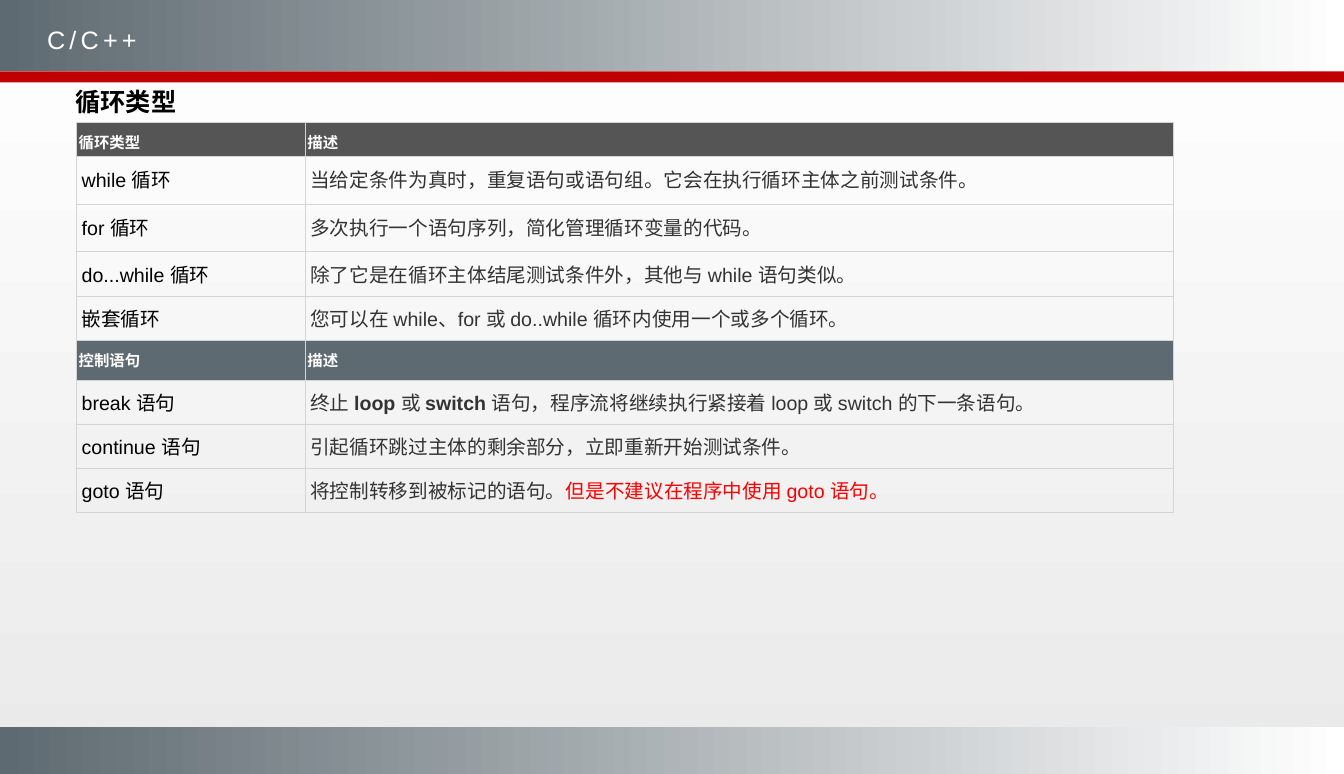
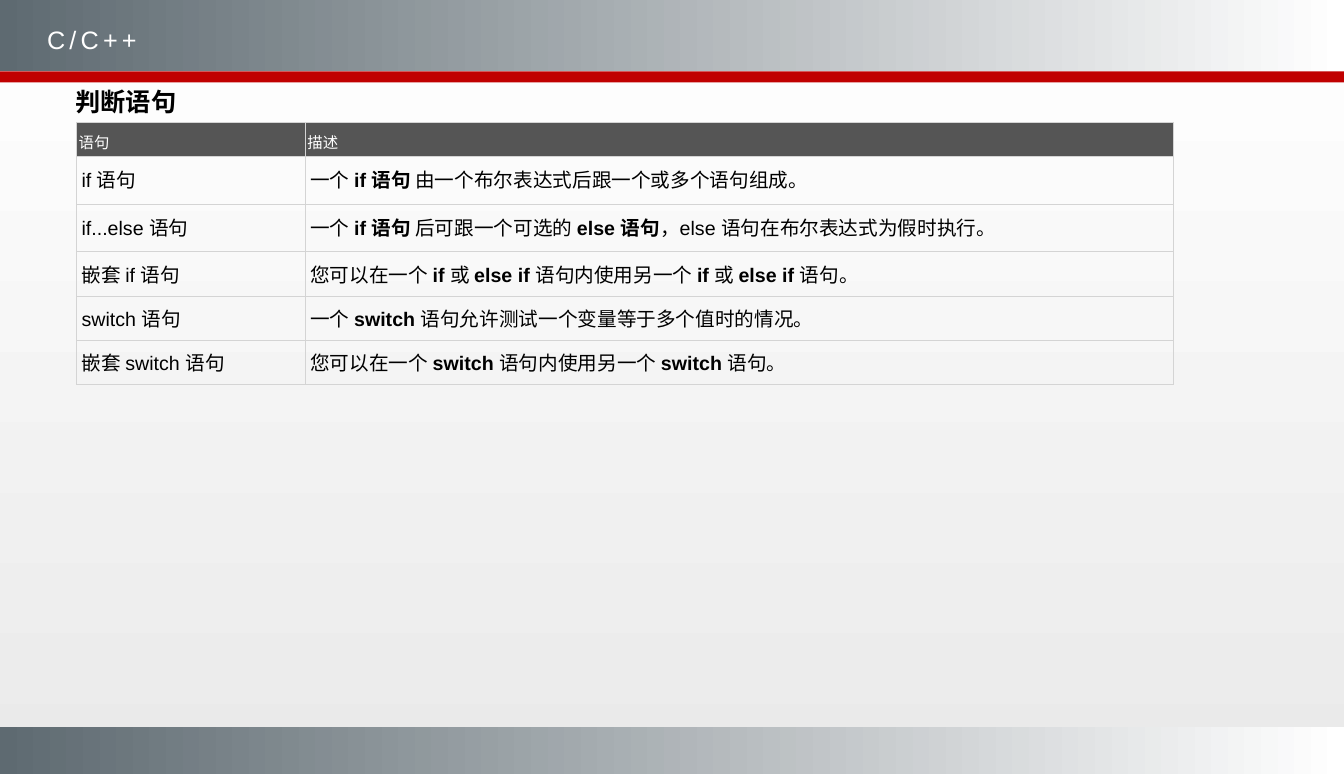
from lxml import etree
from pptx import Presentation
from pptx.dml.color import RGBColor
from pptx.enum.shapes import MSO_SHAPE
from pptx.enum.text import MSO_ANCHOR, MSO_AUTO_SIZE, PP_ALIGN
from pptx.oxml.ns import qn
from pptx.util import Pt

WHITE = RGBColor(0xFF, 0xFF, 0xFF)
BLACK = RGBColor(0x00, 0x00, 0x00)
INK = RGBColor(0x33, 0x33, 0x33)
PALE = RGBColor(0xEA, 0xEA, 0xEA)
SLATE = RGBColor(0x5E, 0x6A, 0x71)
CHARCOAL = RGBColor(0x55, 0x55, 0x55)
CRIMSON = RGBColor(0xC0, 0x00, 0x00)
RED = RGBColor(0xFF, 0x00, 0x00)
RULE = RGBColor(0xD4, 0xD4, 0xD4)

FONT = "Arial"
WIDTH, HEIGHT = 960, 553
COURSE = "C/C++"

# Text between asterisks is bold; a third item in a row is a warning in red.
SLIDES = [
    {
        "title": "循环类型",
        "text_color": INK,
        "header_bold": True,
        "sections": [
            {
                "header": ("循环类型", "描述"),
                "fill": CHARCOAL,
                "height": 24.5,
                "rows": [
                    ("while 循环", "当给定条件为真时，重复语句或语句组。它会在执行循环主体之前测试条件。"),
                    ("for 循环", "多次执行一个语句序列，简化管理循环变量的代码。"),
                    ("do...while 循环", "除了它是在循环主体结尾测试条件外，其他与 while 语句类似。"),
                    ("嵌套循环", "您可以在 while、for 或 do..while 循环内使用一个或多个循环。"),
                ],
            },
            {
                "header": ("控制语句", "描述"),
                "fill": SLATE,
                "height": 28.5,
                "rows": [
                    ("break 语句", "终止 *loop *或 *switch *语句，程序流将继续执行紧接着 loop 或 switch 的下一条语句。"),
                    ("continue 语句", "引起循环跳过主体的剩余部分，立即重新开始测试条件。"),
                    ("goto 语句", "将控制转移到被标记的语句。", "但是不建议在程序中使用 goto 语句。"),
                ],
            },
        ],
    },
    {
        "title": "判断语句",
        "text_color": BLACK,
        "header_bold": False,
        "sections": [
            {
                "header": ("语句", "描述"),
                "fill": CHARCOAL,
                "height": 24.5,
                "rows": [
                    ("if 语句", "一个 *if 语句 *由一个布尔表达式后跟一个或多个语句组成。"),
                    ("if...else 语句", "一个 *if 语句 *后可跟一个可选的 *else 语句*，else 语句在布尔表达式为假时执行。"),
                    ("嵌套 if 语句", "您可以在一个 *if *或 *else if *语句内使用另一个 *if *或 *else if *语句。"),
                    ("switch 语句", "一个 *switch *语句允许测试一个变量等于多个值时的情况。"),
                    ("嵌套 switch 语句", "您可以在一个 *switch *语句内使用另一个 *switch *语句。"),
                ],
            },
        ],
    },
]

# Top, height, colours from left to right
BANDS = [
    (519.5, 33.5, (SLATE, WHITE)),
    (0, 51, (SLATE, WHITE)),
    (51, 8, (CRIMSON,)),
]

TABLE_LEFT, TABLE_TOP = 54.7, 87.4
COLUMNS = (163.4, 619.9)
TALL_ROWS, TALL, NORMAL = (1, 2), 34, 31.5


def write(frame, text, size=14, color=BLACK, bold=False, spacing=None, line=None, warning=""):
    """Fill the first paragraph; asterisks in the text switch bold on and off."""
    para = frame.paragraphs[0]
    para.alignment = PP_ALIGN.LEFT
    if line:
        para.line_spacing = Pt(line)
    pieces = [(part, bold or index % 2 == 1, color) for index, part in enumerate(text.split("*"))]
    pieces.append((warning, bold, RED))
    for part, is_bold, part_color in pieces:
        if not part:
            continue
        span = para.add_run()
        span.text = part
        span.font.name = FONT
        span.font.size = Pt(size)
        span.font.bold = is_bold
        span.font.color.rgb = part_color
        if spacing:
            span.font._element.set("spc", str(spacing * 100))


def place(shape, left, top, width, height):
    shape.left, shape.top = Pt(left), Pt(top)
    shape.width, shape.height = Pt(width), Pt(height)


def paint(fill, colors, angle=0):
    if len(colors) == 1:
        fill.solid()
        fill.fore_color.rgb = colors[0]
        return
    fill.gradient()
    fill.gradient_angle = angle
    for stop, color in zip(fill.gradient_stops, colors):
        stop.color.rgb = color


def set_up_layout(layout, page):
    """Draw the shared bands on a page and move them to its layout."""
    paint(layout.slide_master.background.fill, (WHITE, PALE), angle=270)
    for index, (top, height, colors) in enumerate(BANDS):
        band = page.shapes.add_shape(MSO_SHAPE.RECTANGLE, 0, Pt(top), Pt(WIDTH), Pt(height))
        band.shadow.inherit = False
        band.line.fill.background()
        paint(band.fill, colors)
        layout.shapes.element.insert(2 + index, band.element)
    place(layout.placeholders[0], 46.8, 58.3, 319.7, 28.8)


def add_borders(cell):
    properties = cell._tc.get_or_add_tcPr()
    for side in ("a:lnL", "a:lnR", "a:lnT", "a:lnB"):
        border = etree.SubElement(properties, qn(side), w=str(Pt(0.75)))
        solid = etree.SubElement(border, qn("a:solidFill"))
        etree.SubElement(solid, qn("a:srgbClr"), val=str(RULE))


def fill_cell(cell, text, margins, fill=None, **style):
    add_borders(cell)
    cell.margin_left = cell.margin_right = Pt(margins[0])
    cell.margin_top = cell.margin_bottom = Pt(margins[1])
    cell.vertical_anchor = MSO_ANCHOR.TOP
    if fill is None:
        cell.fill.background()
    else:
        paint(cell.fill, (fill,))
    write(cell.text_frame, text, **style)


def add_statement_table(page, content):
    sections = content["sections"]
    count = sum(1 + len(section["rows"]) for section in sections)
    table = page.shapes.add_table(
        count, len(COLUMNS), Pt(TABLE_LEFT), Pt(TABLE_TOP), Pt(sum(COLUMNS)), Pt(count * NORMAL)
    ).table
    table.first_row = table.horz_banding = False
    for column, width in zip(table.columns, COLUMNS):
        column.width = Pt(width)

    number = 0
    for section in sections:
        table.rows[number].height = Pt(section["height"])
        for column, text in enumerate(section["header"]):
            fill_cell(table.cell(number, column), text, (1.5, 5.7), fill=section["fill"],
                      size=11, color=WHITE, bold=content["header_bold"])
        number += 1
        for name, description, *warning in section["rows"]:
            table.rows[number].height = Pt(TALL if number in TALL_ROWS else NORMAL)
            fill_cell(table.cell(number, 0), name, (3.6, 5), line=21)
            fill_cell(table.cell(number, 1), description, (3.6, 5), line=21,
                      color=content["text_color"], warning="".join(warning))
            number += 1


def add_headings(page, title):
    course = page.shapes.add_textbox(Pt(26.6), Pt(13.7), Pt(895), Pt(28.8))
    course.text_frame.word_wrap = True
    write(course.text_frame, COURSE, size=18, color=WHITE, spacing=3)
    frame = page.shapes.title.text_frame
    frame.auto_size = MSO_AUTO_SIZE.NONE
    frame.vertical_anchor = MSO_ANCHOR.TOP
    write(frame, title, size=18, bold=True)


def main():
    deck = Presentation()
    deck.slide_width, deck.slide_height = Pt(WIDTH), Pt(HEIGHT)
    layout = deck.slide_layouts[5]
    pages = [deck.slides.add_slide(layout) for _ in SLIDES]
    set_up_layout(layout, pages[0])
    for page, content in zip(pages, SLIDES):
        add_headings(page, content["title"])
        add_statement_table(page, content)
    deck.save("out.pptx")


if __name__ == "__main__":
    main()
